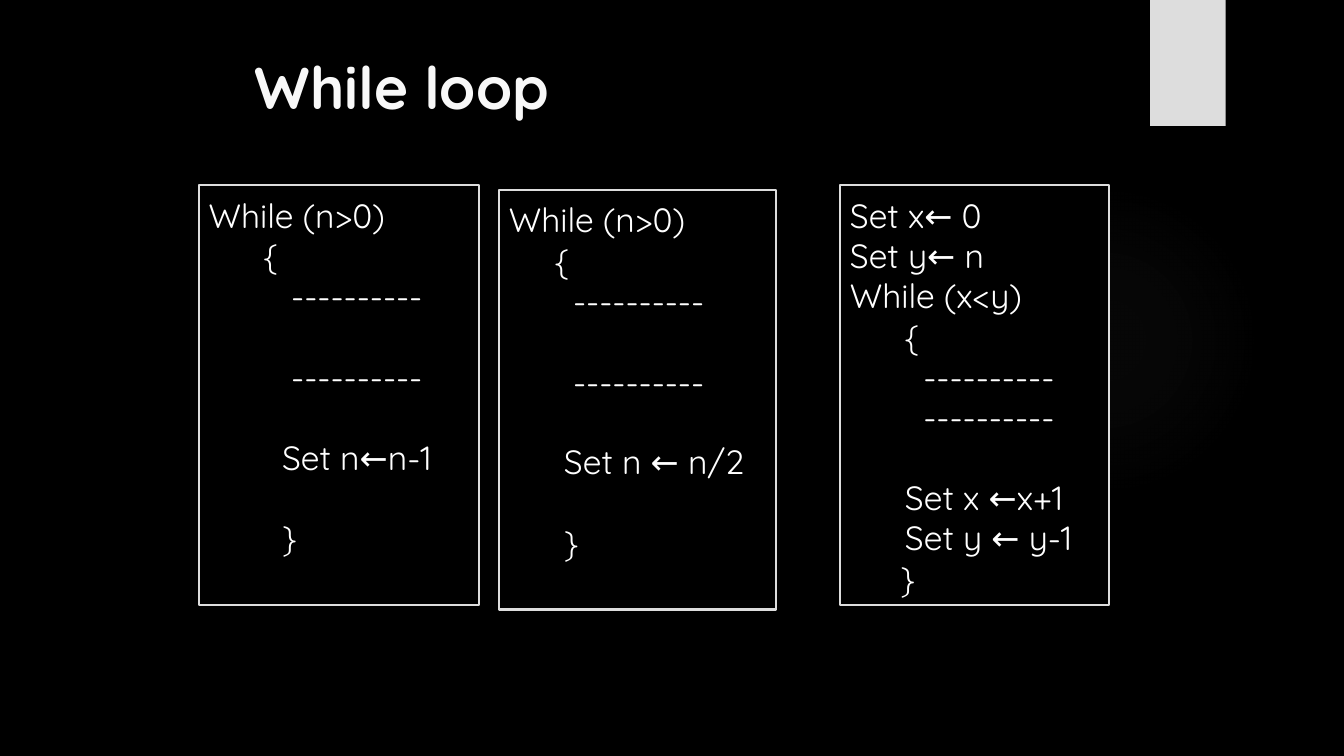
from pptx import Presentation
from pptx.dml.color import RGBColor
from pptx.enum.shapes import MSO_SHAPE
from pptx.enum.text import MSO_ANCHOR, PP_ALIGN
from pptx.oxml import parse_xml
from pptx.oxml.ns import nsdecls, qn
from pptx.util import Pt

COLORS = {
    "black": "000000",
    "accent": "DDDDDD",
    "glow": "5F5F5F",
    "title": "F8F8F8",
    "code": "FFFFFF",
}
FONT = "Quicksand"
GLOW_STOPS = [(0, 7), (36, 6), (69, 0)]
DASHES = "----------"

LOOPS = [
    ((142, 132, 200, 300), [
        ("While (n>0)", 1),
        ("      {", 1),
        ("         " + DASHES, 1),
        ("         " + DASHES, 2),
        ("        Set n←n-1", 2),
        ("        }", 2),
    ]),
    ((356.4, 135.4, 198, 300), [
        ("While (n>0)", 1),
        ("     {", 1),
        ("       " + DASHES, 1),
        ("       " + DASHES, 2),
        ("      Set n ← n/2", 2),
        ("      }", 2),
    ]),
    ((600, 132, 192, 300), [
        ("Set x← 0", 1),
        ("Set y← n", 1),
        ("While (x<y)", 1),
        ("      {", 1),
        ("        " + DASHES, 1),
        ("        " + DASHES, 1),
        ("      Set x ←x+1", 2),
        ("      Set y ← y-1", 1),
        ("\t}", 1),
    ]),
]


def color(name):
    """Return the named colour."""
    return RGBColor.from_string(COLORS[name])


def add_panel(slide, preset, box, fill):
    """Add a flat preset shape without outline or shadow."""
    panel = slide.shapes.add_shape(preset, *map(Pt, box))
    panel.shadow.inherit = False
    panel.fill.solid()
    panel.fill.fore_color.rgb = color(fill)
    panel.line.fill.background()
    return panel


def add_text(paragraph, text, size, tint, bold=False):
    """Add one styled run to a paragraph."""
    run = paragraph.add_run()
    run.text = text
    run.font.name = FONT
    run.font.size = Pt(size)
    run.font.bold = bold
    run.font.color.rgb = color(tint)


def draw_glow(slide, box):
    """Draw a faint round glow that fades outwards."""
    glow = add_panel(slide, MSO_SHAPE.OVAL, box, "glow")
    stops = "".join(
        f'<a:gs pos="{pos * 1000}"><a:srgbClr val="{COLORS["glow"]}">'
        f'<a:alpha val="{alpha * 1000}"/></a:srgbClr></a:gs>'
        for pos, alpha in GLOW_STOPS
    )
    gradient = parse_xml(
        f'<a:gradFill {nsdecls("a")}><a:gsLst>{stops}</a:gsLst><a:path path="circle">'
        '<a:fillToRect l="50000" t="50000" r="50000" b="50000"/></a:path></a:gradFill>'
    )
    properties = glow.element.spPr
    properties.replace(properties.find(qn("a:solidFill")), gradient)


def draw_title(slide, box, text):
    """Write the heading at the bottom of its box."""
    heading = slide.shapes.add_textbox(*map(Pt, box)).text_frame
    heading.word_wrap = True
    heading.vertical_anchor = MSO_ANCHOR.BOTTOM
    add_text(heading.paragraphs[0], text, 42, "title", bold=True)


def draw_loop(slide, box, lines):
    """Draw a framed pseudocode listing, one paragraph per line."""
    listing = add_panel(slide, MSO_SHAPE.RECTANGLE, box, "black")
    listing.line.color.rgb = color("accent")
    listing.line.width = Pt(1.5)
    code = listing.text_frame
    code.word_wrap = True
    code.vertical_anchor = MSO_ANCHOR.TOP
    code.margin_top = Pt(7)
    for index, (text, spacing) in enumerate(lines):
        line = code.add_paragraph() if index else code.paragraphs[0]
        line.alignment = PP_ALIGN.LEFT
        line.line_spacing = float(spacing)
        add_text(line, text, 24, "code")


def main():
    """Build and save the slide."""
    deck = Presentation()
    deck.slide_width, deck.slide_height = Pt(960), Pt(540)
    slide = deck.slides.add_slide(deck.slide_layouts[6])
    slide.background.fill.solid()
    slide.background.fill.fore_color.rgb = color("black")
    draw_glow(slide, (677.5, 131.8, 221.8, 221.8))
    add_panel(slide, MSO_SHAPE.RECTANGLE, (821.5, 0, 54, 90), "accent")
    draw_title(slide, (175, 24.5, 600, 66), "While loop")
    for box, lines in LOOPS:
        draw_loop(slide, box, lines)
    deck.save("out.pptx")


if __name__ == "__main__":
    main()
